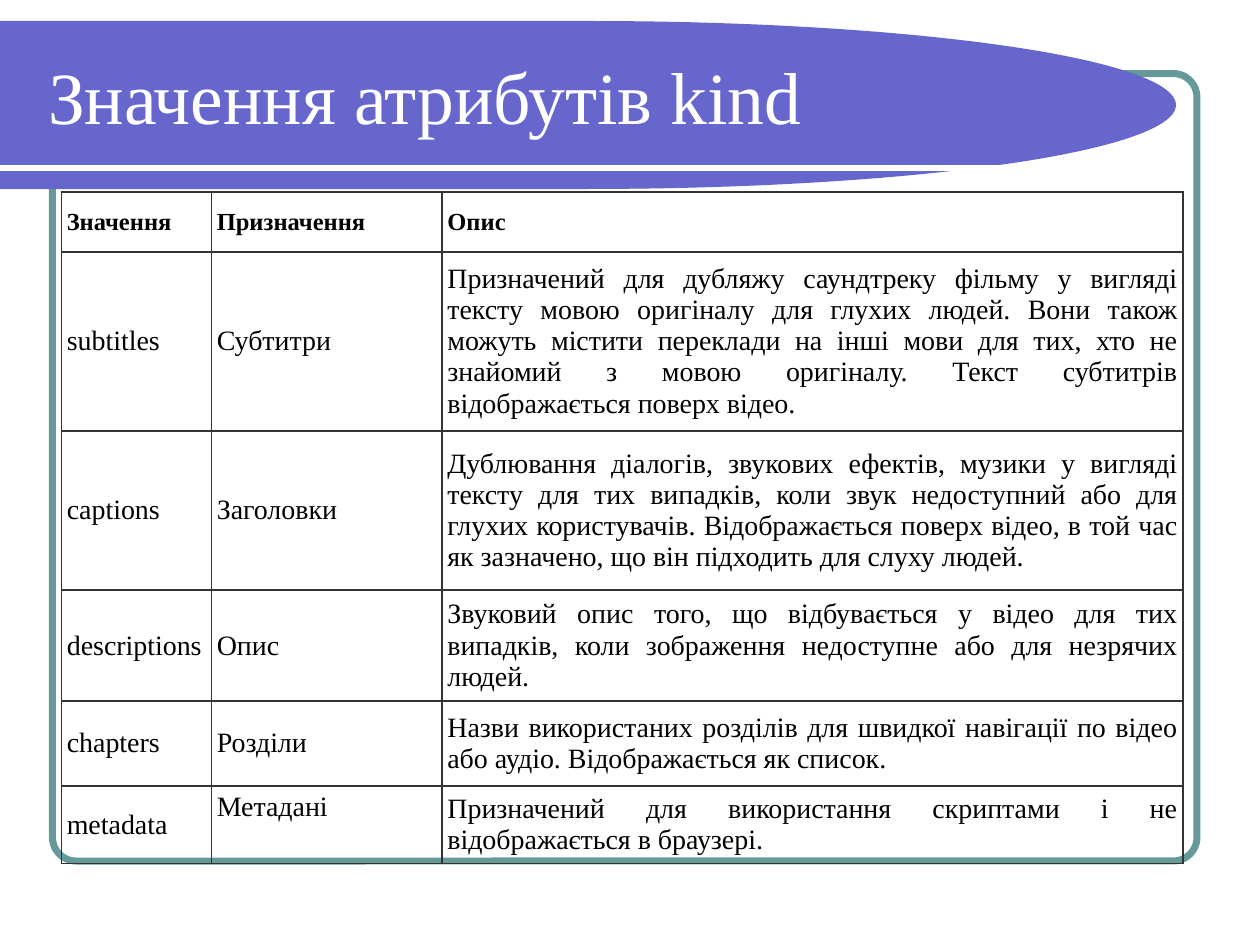
from dataclasses import dataclass
from math import cos, pi, sin

from lxml.etree import SubElement
from pptx import Presentation
from pptx.dml.color import RGBColor
from pptx.enum.shapes import MSO_CONNECTOR as Connector, MSO_SHAPE as Preset
from pptx.enum.text import MSO_ANCHOR as Anchor, PP_ALIGN as Align
from pptx.oxml import parse_xml
from pptx.oxml.ns import nsdecls, qn
from pptx.util import Pt

FONT = "Times New Roman"
VIOLET, TEAL, WHITE, BLACK, GRID = "6666CC", "669999", "FFFFFF", "000000", "333333"
COLUMN_WIDTHS = (85.7, 131.8, 423.4)
CELL_MARGIN = 3


@dataclass
class Row:
    height: float
    texts: tuple[str, str, str]
    size: int = 16
    bold: bool = False
    middle_anchor: Anchor = Anchor.MIDDLE


ROWS = [
    Row(34.3, ("Значення", "Призначення", "Опис"), size=14, bold=True),
    Row(102.2, ("subtitles", "Субтитри",
                "Призначений для дубляжу саундтреку фільму у вигляді тексту мовою "
                "оригіналу для глухих людей. Вони також можуть містити переклади на "
                "інші мови для тих, хто не знайомий з мовою оригіналу. Текст "
                "субтитрів відображається поверх відео.")),
    Row(91, ("captions", "Заголовки",
             "Дублювання діалогів, звукових ефектів, музики у вигляді тексту для "
             "тих випадків, коли звук недоступний або для глухих користувачів. "
             "Відображається поверх відео, в той час як зазначено, що він "
             "підходить для слуху людей.")),
    Row(63.4, ("descriptions", "Опис",
               "Звуковий опис того, що відбувається у відео для тих випадків, коли "
               "зображення недоступне або для незрячих людей.")),
    Row(48.6, ("chapters", "Розділи",
               "Назви використаних розділів для швидкої навігації по відео або "
               "аудіо. Відображається як список.")),
    Row(44.2, ("metadata", "Метадані",
               "Призначений для використання скриптами і не відображається в "
               "браузері."), middle_anchor=Anchor.TOP),
]


def paint(target, color: str) -> None:
    """Give a fill or a line a solid colour."""
    fill = target.fill if hasattr(target, "fill") else target
    fill.solid()
    fill.fore_color.rgb = RGBColor.from_string(color)


def write(frame, text: str, *, size: float, color: str, align: Align,
          anchor: Anchor, bold: bool = False) -> None:
    frame.word_wrap = True
    frame.vertical_anchor = anchor
    para = frame.paragraphs[0]
    para.alignment = align
    span = para.add_run()
    span.text = text
    span.font.name, span.font.size, span.font.bold = FONT, Pt(size), bold
    span.font.color.rgb = RGBColor.from_string(color)


def draw_frame(page) -> None:
    frame = page.shapes.add_shape(Preset.ROUNDED_RECTANGLE,
                                  Pt(30), Pt(42), Pt(654), Pt(450))
    frame.adjustments[0] = 0.03
    frame.shadow.inherit = False
    frame.fill.background()
    paint(frame.line, TEAL)
    frame.line.width = Pt(4)


def draw_band(page, top: float = 12, middle_x: float = 336,
              radius_x: float = 336, radius_y: float = 48, steps: int = 90) -> None:
    """A band from the left edge that ends in half an ellipse."""
    angles = [pi * step / steps - pi / 2 for step in range(steps + 1)]
    curve = [(Pt(middle_x + radius_x * cos(angle)),
              Pt(top + radius_y * (1 + sin(angle)))) for angle in angles]
    builder = page.shapes.build_freeform(0, Pt(top))
    builder.add_line_segments([*curve, (0, Pt(top + 2 * radius_y))], close=True)
    band = builder.convert_to_shape()
    band.shadow.inherit = False
    paint(band, VIOLET)
    band.line.fill.background()


def draw_stripe(page) -> None:
    stripe = page.shapes.add_connector(Connector.STRAIGHT, 0, Pt(96), Pt(636), Pt(96))
    paint(stripe.line, WHITE)
    stripe.line.width = Pt(3)
    SubElement(stripe.element.spPr, qn("a:effectLst"))


def place_title(page, text: str) -> None:
    title = page.shapes.title
    title.left, title.top, title.width, title.height = Pt(15), Pt(29), Pt(632), Pt(51)
    frame = title.text_frame
    frame.margin_left = Pt(12.5)
    frame.margin_top = frame.margin_right = frame.margin_bottom = 0
    write(frame, text, size=42, color=WHITE, align=Align.LEFT, anchor=Anchor.MIDDLE)
    # Bring the title in front of the band
    title.element.getparent().append(title.element)


def add_borders(cell, color: str, width: float) -> None:
    properties = cell._tc.get_or_add_tcPr()
    for index, side in enumerate("LRTB"):
        properties.insert(index, parse_xml(
            f'<a:ln{side} {nsdecls("a")} w="{Pt(width)}"><a:solidFill>'
            f'<a:srgbClr val="{color}"/></a:solidFill></a:ln{side}>'))


def draw_table(page, rows: list[Row]) -> None:
    table = page.shapes.add_table(
        len(rows), len(COLUMN_WIDTHS), Pt(35.2), Pt(109.7),
        Pt(sum(COLUMN_WIDTHS)), Pt(sum(row.height for row in rows))).table
    table.first_row = table.horz_banding = False
    for column, width in zip(table.columns, COLUMN_WIDTHS):
        column.width = Pt(width)
    for row_index, row in enumerate(rows):
        table.rows[row_index].height = Pt(row.height)
        for column_index, text in enumerate(row.texts):
            cell = table.cell(row_index, column_index)
            anchor = row.middle_anchor if column_index == 1 else Anchor.MIDDLE
            write(cell.text_frame, text, size=row.size, bold=row.bold,
                  color=BLACK, align=Align.JUSTIFY, anchor=anchor)
            cell.vertical_anchor = anchor
            cell.margin_left = cell.margin_right = Pt(CELL_MARGIN)
            cell.margin_top = cell.margin_bottom = Pt(CELL_MARGIN)
            cell.fill.background()
            add_borders(cell, GRID, 1)


def main() -> None:
    deck = Presentation()
    deck.slide_width, deck.slide_height = Pt(720), Pt(540)
    page = deck.slides.add_slide(deck.slide_layouts[5])
    paint(page.background.fill, WHITE)

    # Backdrop
    draw_frame(page)
    draw_band(page)
    draw_stripe(page)

    # Content
    place_title(page, "Значення атрибутів kind")
    draw_table(page, ROWS)
    deck.save("out.pptx")


if __name__ == "__main__":
    main()
